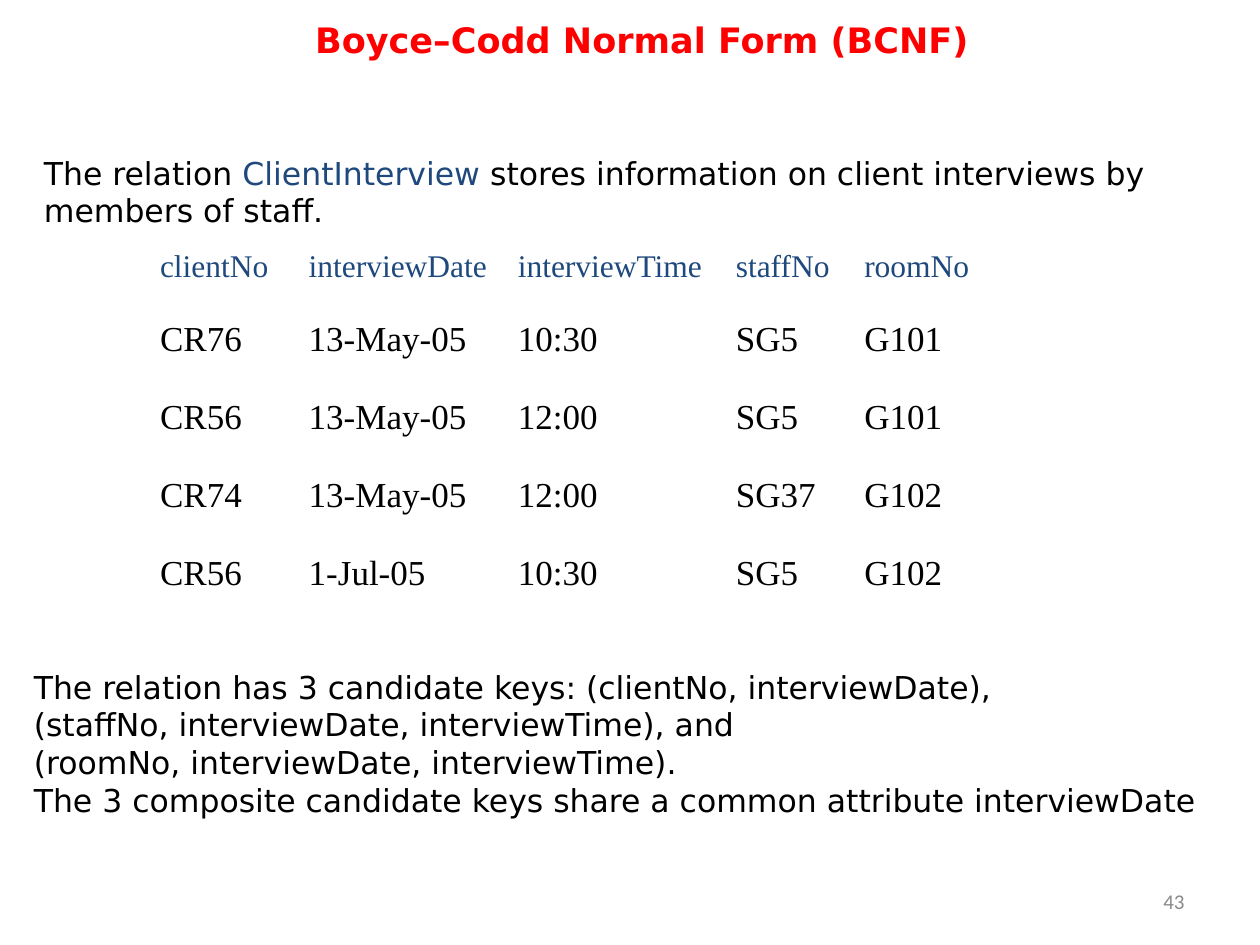
from pptx import Presentation
from pptx.dml.color import RGBColor
from pptx.enum.text import MSO_ANCHOR, MSO_AUTO_SIZE, PP_ALIGN
from pptx.util import Inches, Pt

COLORS = {"title": "FF0000", "text": "000000", "accent": "1F497D", "number": "898989"}
BODY_FONT, TABLE_FONT = "DejaVu Sans", "Times New Roman"


def style(run, size, font, color, bold=False):
    run.font.size = Pt(size)
    run.font.name = font
    run.font.bold = bold
    run.font.color.rgb = RGBColor.from_string(COLORS[color])


def add_textbox(left, top, width, height):
    """Add a wrapping text box, in inches, and return its text frame."""
    box = s.shapes.add_textbox(Inches(left), Inches(top), Inches(width), Inches(height))
    box.text_frame.word_wrap = True
    return box.text_frame


prs = Presentation()
prs.slide_width, prs.slide_height = Inches(10), Inches(7.5)
s = prs.slides.add_slide(prs.slide_layouts[5])

# Title
title = s.shapes.title
title.left, title.top = Inches(0.43), Inches(0)
title.width, title.height = Inches(9.33), Inches(0.63)
tf = title.text_frame
tf.text = "Boyce–Codd Normal Form (BCNF)"
tf.auto_size = MSO_AUTO_SIZE.NONE
tf.vertical_anchor = MSO_ANCHOR.MIDDLE
tf.paragraphs[0].alignment = PP_ALIGN.CENTER
style(tf.paragraphs[0].runs[0], 20, BODY_FONT, "title", bold=True)

# Introduction
tf = add_textbox(0.25, 1.17, 10, 0.7)
p = tf.paragraphs[0]
for text, color in [
    ("The relation ", "text"),
    ("ClientInterview", "accent"),
    (" stores information on client interviews by members of staff.", "text"),
]:
    r = p.add_run()
    r.text = text
    style(r, 18, BODY_FONT, color)

# ClientInterview relation
rows = [
    ["clientNo", "interviewDate", "interviewTime", "staffNo", "roomNo"],
    ["CR76", "13-May-05", "10:30", "SG5", "G101"],
    ["CR56", "13-May-05", "12:00", "SG5", "G101"],
    ["CR74", "13-May-05", "12:00", "SG37", "G102"],
    ["CR56", "1-Jul-05", "10:30", "SG5", "G102"],
]
col_widths = [1.18, 1.66, 1.73, 1.02, 1.18]
table = s.shapes.add_table(
    len(rows), len(col_widths), Inches(1.17), Inches(2), Inches(6.77), Inches(3.05)
).table
table.first_row = table.horz_banding = False
for column, width in zip(table.columns, col_widths):
    column.width = Inches(width)
for i, values in enumerate(rows):
    table.rows[i].height = Inches(0.62 if i else 0.57)
    size, color = (20, "text") if i else (18, "accent")
    for j, value in enumerate(values):
        cell = table.cell(i, j)
        cell.fill.background()
        cell.text_frame.text = value
        p = cell.text_frame.paragraphs[0]
        p.line_spacing = 0.68
        style(p.runs[0], size, TABLE_FONT, color)

# Candidate keys
key_lines = [
    "The relation has 3 candidate keys: (clientNo, interviewDate),",
    "(staffNo, interviewDate, interviewTime), and",
    "(roomNo, interviewDate, interviewTime).",
    "The 3 composite candidate keys share a common attribute interviewDate",
]
tf = add_textbox(0.17, 5.25, 9.99, 1.3)
tf.text = "\n".join(key_lines)
for p in tf.paragraphs:
    style(p.runs[0], 18, BODY_FONT, "text")

# Slide number
tf = add_textbox(7.17, 6.95, 2.33, 0.4)
tf.text = "43"
tf.vertical_anchor = MSO_ANCHOR.MIDDLE
tf.paragraphs[0].alignment = PP_ALIGN.RIGHT
style(tf.paragraphs[0].runs[0], 12, "Calibri", "number")

prs.save("out.pptx")
